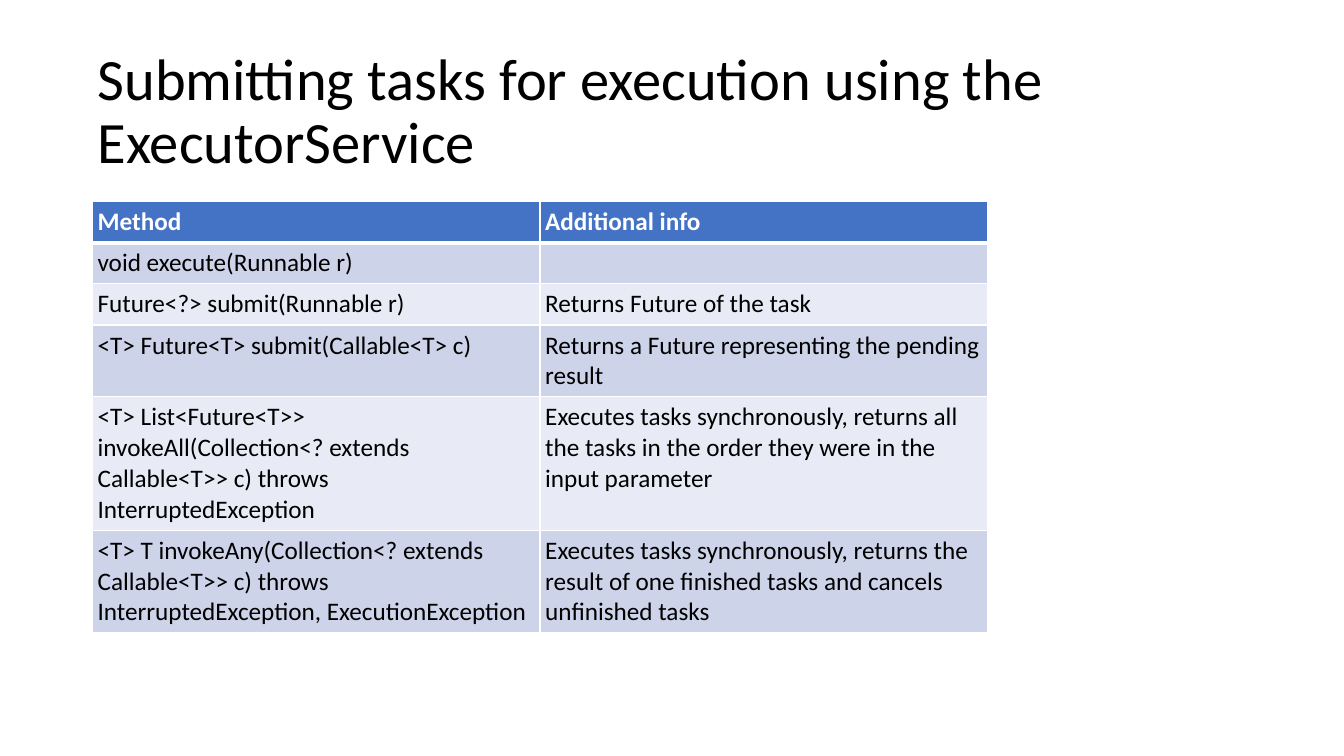
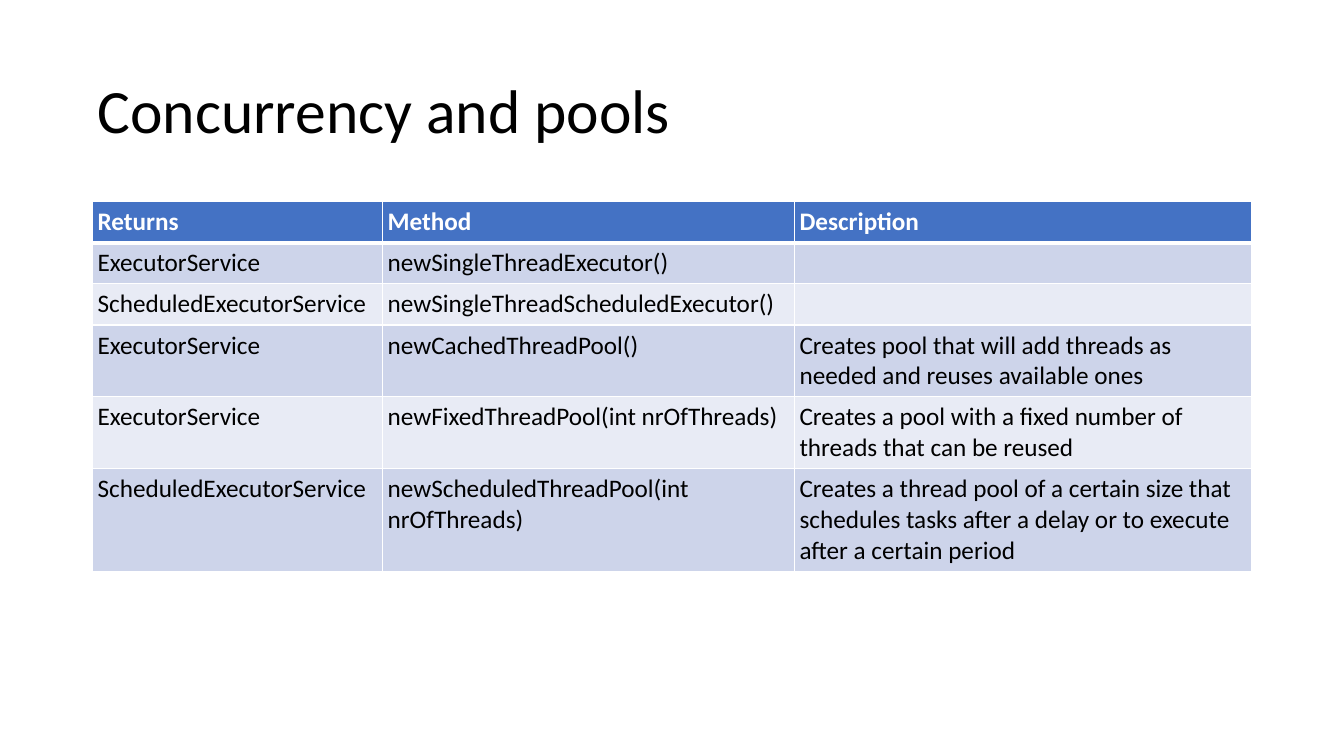
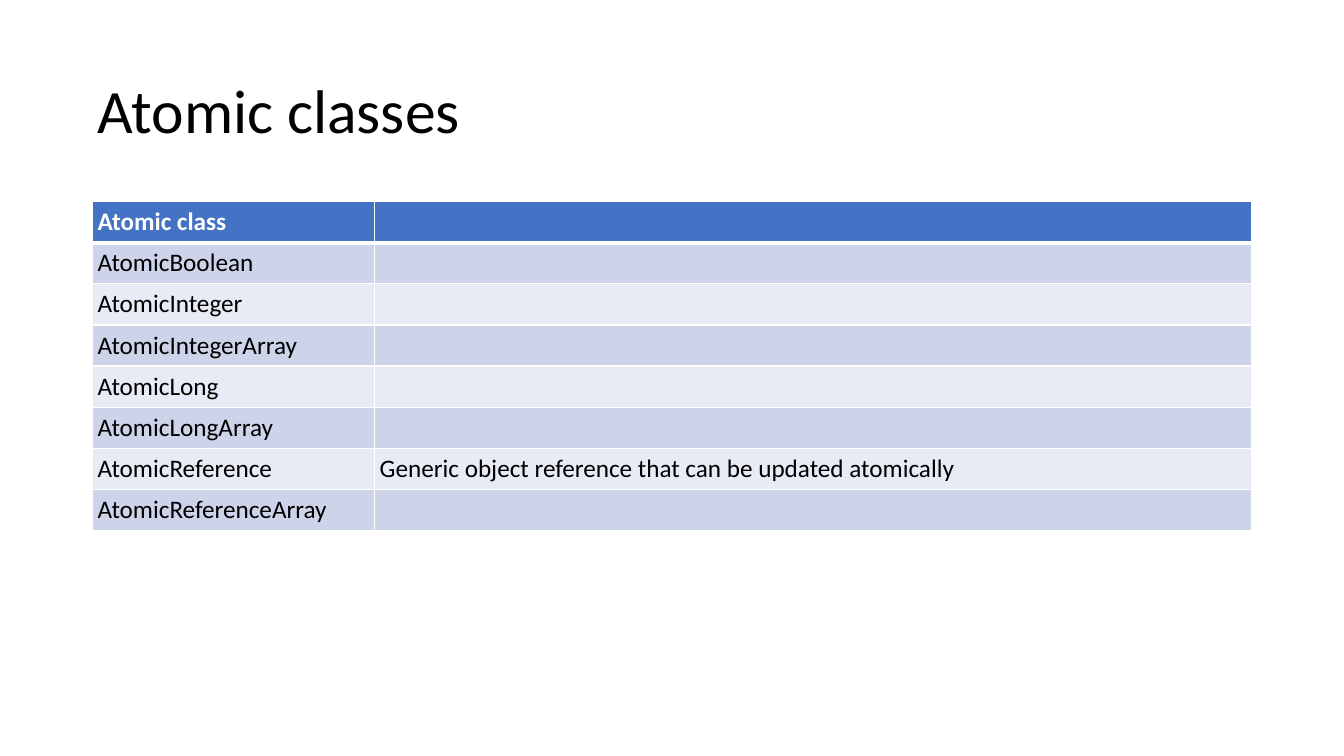
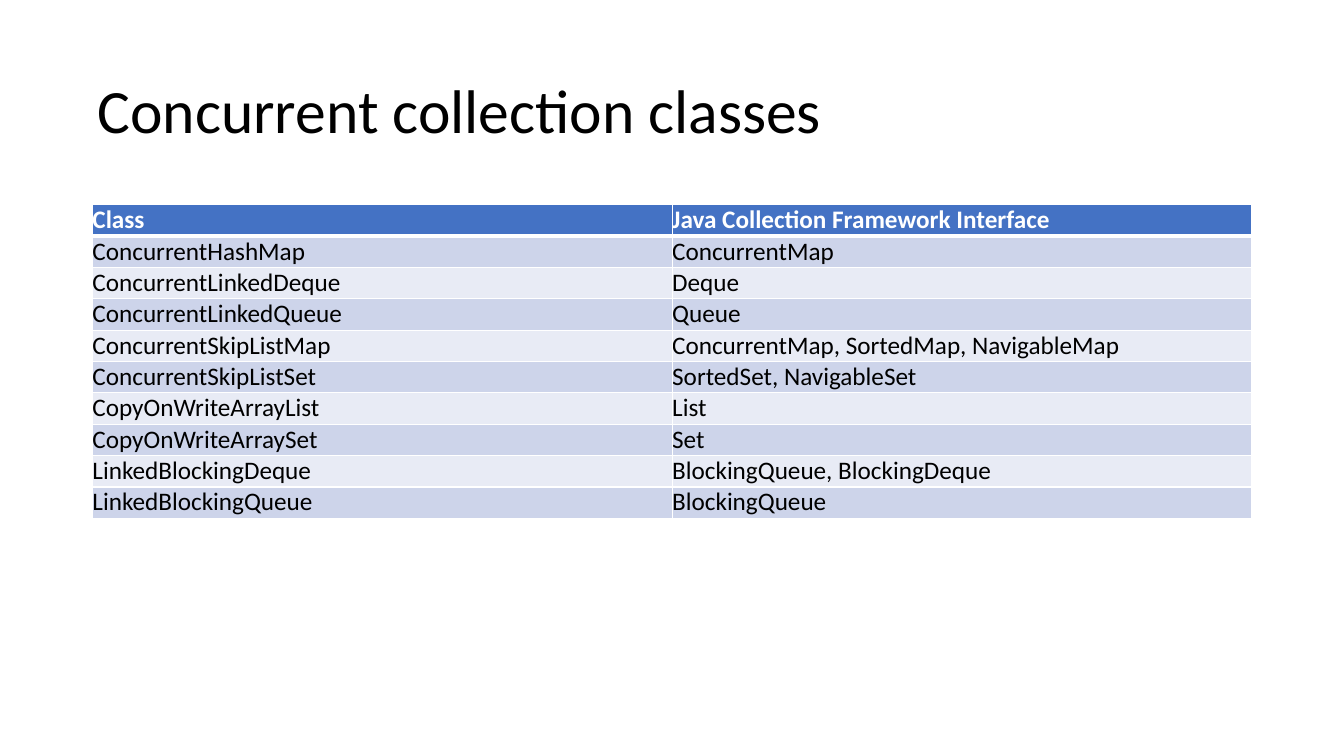
"""Build four slides of tables on Java concurrency."""
from lxml import etree
from pptx import Presentation
from pptx.dml.color import RGBColor
from pptx.enum.text import MSO_ANCHOR, MSO_AUTO_SIZE, PP_ALIGN
from pptx.oxml.ns import qn
from pptx.util import Cm, Pt

LEFT = PP_ALIGN.LEFT
MIDDLE = MSO_ANCHOR.MIDDLE
FIXED = MSO_AUTO_SIZE.NONE

BLACK = RGBColor(0, 0, 0)
WHITE = RGBColor(255, 255, 255)
BLUE = RGBColor(0x44, 0x72, 0xC4)
BANDS = (RGBColor(0xE8, 0xEB, 0xF5), RGBColor(0xCD, 0xD4, 0xEA))
FONT = "Calibri"
EDGE = 2.33
WIDTH = 29.21
INSET = 0.13
ROOMY = {"top": 5.08, "high": 1.03, "pad": INSET}
TIGHT = {"top": 5.16, "high": 0.79, "pad": 0}

SLIDES = [
    {"title": "Submitting tasks for execution using the ExecutorService",
     "size": 41.8, "cols": (11.28, 11.28), "form": ROOMY,
     "rows": [
         ("Method", "Additional info"),
         ("void execute(Runnable r)", ""),
         ("Future<?> submit(Runnable r)", "Returns Future of the task"),
         ("<T> Future<T> submit(Callable<T> c)",
          "Returns a Future representing the pending result"),
         ("<T> List<Future<T>> invokeAll(Collection<? extends Callable<T>> c) "
          "throws InterruptedException",
          "Executes tasks synchronously, returns all the tasks in the order "
          "they were in the input parameter"),
         ("<T> T invokeAny(Collection<? extends Callable<T>> c) "
          "throws InterruptedException, ExecutionException",
          "Executes tasks synchronously, returns the result of one finished "
          "tasks and cancels unfinished tasks"),
     ]},
    {"title": "Concurrency and pools",
     "size": 44, "cols": (7.31, 10.38, 11.52), "form": ROOMY,
     "rows": [
         ("Returns", "Method", "Description"),
         ("ExecutorService", "newSingleThreadExecutor()", ""),
         ("ScheduledExecutorService", "newSingleThreadScheduledExecutor()", ""),
         ("ExecutorService", "newCachedThreadPool()",
          "Creates pool that will add threads as needed and reuses available "
          "ones"),
         ("ExecutorService", "newFixedThreadPool(int nrOfThreads)",
          "Creates a pool with a fixed number of threads that can be reused"),
         ("ScheduledExecutorService", "newScheduledThreadPool(int nrOfThreads)",
          "Creates a thread pool of a certain size that schedules tasks after "
          "a delay or to execute after a certain period"),
     ]},
    {"title": "Atomic classes",
     "size": 44, "cols": (7.11, 22.1), "form": ROOMY,
     "rows": [
         ("Atomic class", ""),
         ("AtomicBoolean", ""),
         ("AtomicInteger", ""),
         ("AtomicIntegerArray", ""),
         ("AtomicLong", ""),
         ("AtomicLongArray", ""),
         ("AtomicReference",
          "Generic object reference that can be updated atomically"),
         ("AtomicReferenceArray", ""),
     ]},
    {"title": "Concurrent collection classes",
     "size": 44, "cols": (14.61, 14.61), "form": TIGHT,
     "rows": [
         ("Class", "Java Collection Framework Interface"),
         ("ConcurrentHashMap", "ConcurrentMap"),
         ("ConcurrentLinkedDeque", "Deque"),
         ("ConcurrentLinkedQueue", "Queue"),
         ("ConcurrentSkipListMap", "ConcurrentMap, SortedMap, NavigableMap"),
         ("ConcurrentSkipListSet", "SortedSet, NavigableSet"),
         ("CopyOnWriteArrayList", "List"),
         ("CopyOnWriteArraySet", "Set"),
         ("LinkedBlockingDeque", "BlockingQueue, BlockingDeque"),
         ("LinkedBlockingQueue", "BlockingQueue"),
     ]},
]


def write(frame, text, size=18, color=BLACK, bold=False, space=1.0):
    """Put one formatted paragraph into a text frame."""
    para = frame.paragraphs[0]
    para.alignment = LEFT
    para.line_spacing = space
    if text:
        run = para.add_run()
        run.text = text
        font = run.font
        font.name, font.size, font.bold = FONT, Pt(size), bold
        font.color.rgb = color


def inset(box, pad):
    """Set all four margins of a cell or text frame."""
    box.margin_left = box.margin_right = Cm(pad)
    box.margin_top = box.margin_bottom = Cm(pad)


def border(cell, row):
    """Draw white cell borders, thick below the header."""
    props = cell._tc.get_or_add_tcPr()
    sides = {"L": 1, "R": 1, "T": 3 if row == 1 else 1, "B": 1 if row else 3}
    for spot, (side, wide) in enumerate(sides.items()):
        line = etree.Element(qn("a:ln" + side), w=str(Pt(wide)))
        fill = etree.SubElement(line, qn("a:solidFill"))
        etree.SubElement(fill, qn("a:srgbClr"), val=str(WHITE))
        props.insert(spot, line)


def head(slide, text, size):
    """Place and fill the slide title."""
    title = slide.shapes.title
    title.left, title.top = Cm(EDGE), Cm(1.01)
    title.width, title.height = Cm(WIDTH), Cm(3.68)
    frame = title.text_frame
    frame.word_wrap = True
    frame.auto_size = FIXED
    frame.vertical_anchor = MIDDLE
    inset(frame, INSET)
    write(frame, text, size=size, space=0.9)


def grid(slide, rows, cols, top, high, pad):
    """Add a banded table with a header row."""
    table = slide.shapes.add_table(
        len(rows), len(cols), Cm(EDGE), Cm(top),
        Cm(sum(cols)), Cm(high * len(rows))).table
    table.horz_banding = False
    for col, wide in zip(table.columns, cols):
        col.width = Cm(wide)
    for r, texts in enumerate(rows):
        table.rows[r].height = Cm(high)
        for c, text in enumerate(texts):
            cell = table.cell(r, c)
            inset(cell, pad)
            border(cell, r)
            cell.fill.solid()
            cell.fill.fore_color.rgb = BANDS[r % 2] if r else BLUE
            write(cell.text_frame, text, bold=r == 0,
                  color=BLACK if r else WHITE)


deck = Presentation()
deck.slide_width, deck.slide_height = Cm(33.87), Cm(19.05)
for page in SLIDES:
    slide = deck.slides.add_slide(deck.slide_layouts[5])
    head(slide, page["title"], page["size"])
    grid(slide, page["rows"], page["cols"], **page["form"])
deck.save("out.pptx")
